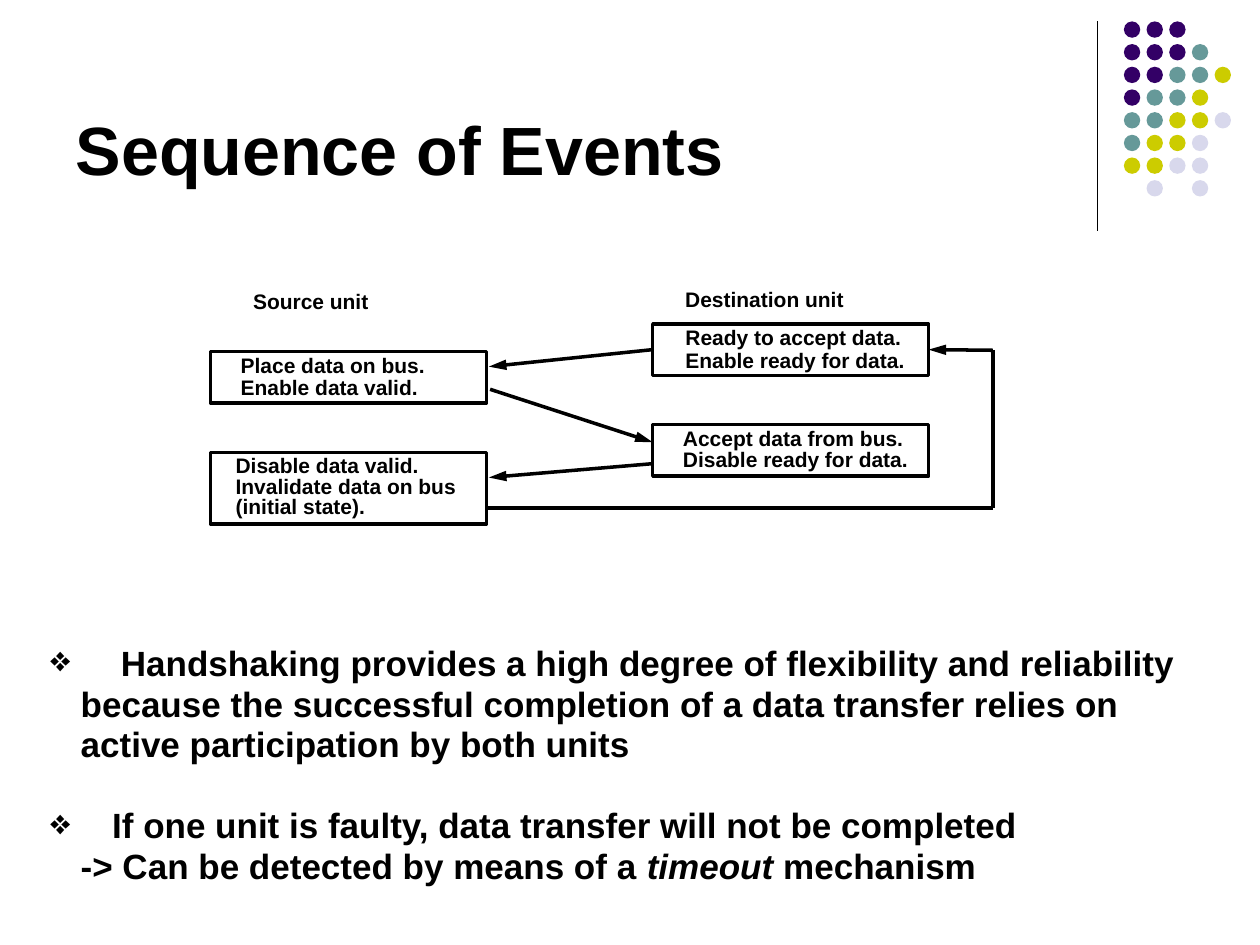
"""Build the handshaking "Sequence of Events" slide."""
from lxml import etree
from pptx import Presentation, util as u
from pptx.dml.color import RGBColor
from pptx.enum import shapes, text
from pptx.oxml import ns

TITLE = "Sequence of Events"
BLACK = "000000"
DOT_COLORS = {"P": "330066", "T": "669999", "Y": "CCCC00", "L": "D8D8EC"}
DOT_ROWS = ["PPP", "PPPT", "PPTTY", "PTTY", "TTYYL", "TYYL", "YYLL", " L L"]
DOT_LEFT, DOT_TOP, DOT_PITCH, DOT_SIZE = 8.92, 0.17, 0.18, 0.13

LABELS = [("Source unit", 1.91, 2.26, 1.12), ("Destination unit", 5.34, 2.25, 1.46)]
SOURCE_X, DEST_X, BOX_W = 1.67, 5.18, 2.19
BOXES = {
    "place": (SOURCE_X, 2.79, 0.41, 0.24, 13, ["Place data on bus.", "Enable data valid."]),
    "ready": (DEST_X, 2.57, 0.41, 0.26, 13, ["Ready to accept data.", "Enable ready for data."]),
    "accept": (DEST_X, 3.37, 0.41, 0.24, 12, ["Accept data from bus.", "Disable ready for data."]),
    "disable": (SOURCE_X, 3.59, 0.57, 0.2, 11.5,
                ["Disable data valid.", "Invalidate data on bus", "(initial state)."]),
}
LOOP_X, LOOP_Y, READY_Y = 7.88, 4.03, 2.78
LINES = [
    ((DEST_X, 2.78), (3.88, 2.91), True, ("ready", 1), None),
    ((3.89, 3.09), (DEST_X, 3.51), True, None, None),
    ((DEST_X, 3.68), (3.88, 3.79), True, None, None),
    ((SOURCE_X + BOX_W, LOOP_Y), (LOOP_X, LOOP_Y), False, None, None),
    ((LOOP_X, LOOP_Y), (LOOP_X, READY_Y), False, None, None),
    ((LOOP_X, READY_Y), (DEST_X + BOX_W, READY_Y), True, None, ("ready", 3)),
]
HANG = 0.24
NOTES = [
    (0.56, 0, [("\tHandshaking provides a high degree of flexibility and reliability because "
                "the successful completion of a data transfer relies on active participation "
                "by both units", False)]),
    (0.49, 23, [("\tIf one unit is faulty, data transfer will not be completed", False)]),
    (None, 0, [("-> Can be detected by means of a ", False), ("timeout", True),
               (" mechanism", False)]),
]


def rgb(value):
    return RGBColor.from_string(value)


def assign(obj, **values):
    for name, value in values.items():
        setattr(obj, name, value)


def style(font, size):
    assign(font, name="Arial", size=u.Pt(size), bold=True)
    font.color.rgb = rgb(BLACK)


def child(parent, tag, **attrs):
    return etree.SubElement(parent, ns.qn(tag), attrs)


def add_line(s, start, end, width, arrow=False):
    sp = s.shapes.add_connector(shapes.MSO_CONNECTOR.STRAIGHT, *map(u.Inches, start + end))
    sp.line.color.rgb = rgb(BLACK)
    sp.line.width = u.Pt(width)
    if arrow:
        child(sp.line._get_or_add_ln(), "a:tailEnd", type="triangle", w="med", len="lg")
    child(sp._element.spPr, "a:effectLst")
    return sp


def add_shape(s, kind, x, y, w, h):
    sp = s.shapes.add_shape(kind, *map(u.Inches, (x, y, w, h)))
    sp.shadow.inherit = False
    return sp


def add_dots(s):
    for row, codes in enumerate(DOT_ROWS):
        for col, code in enumerate(codes):
            if code in DOT_COLORS:
                sp = add_shape(s, shapes.MSO_SHAPE.OVAL, DOT_LEFT + col * DOT_PITCH,
                               DOT_TOP + row * DOT_PITCH, DOT_SIZE, DOT_SIZE)
                sp.fill.solid()
                sp.fill.fore_color.rgb = rgb(DOT_COLORS[code])
                sp.line.fill.background()


def add_box(s, x, y, h, inset, pitch, lines):
    sp = add_shape(s, shapes.MSO_SHAPE.RECTANGLE, x, y, BOX_W, h)
    sp.fill.background()
    sp.line.color.rgb = rgb(BLACK)
    sp.line.width = u.Pt(2)
    tf = sp.text_frame
    assign(tf, margin_left=u.Inches(inset), margin_right=0, margin_top=0, margin_bottom=0,
           word_wrap=True, vertical_anchor=text.MSO_ANCHOR.MIDDLE)
    for i, line in enumerate(lines):
        p = tf.paragraphs[0] if i == 0 else tf.add_paragraph()
        assign(p, text=line, alignment=text.PP_ALIGN.LEFT, line_spacing=u.Pt(pitch))
        style(p.font, 12)
    return sp


def add_notes(s):
    tf = s.shapes.add_textbox(*map(u.Inches, (0.33, 5.08, 9.12, 2))).text_frame
    assign(tf, word_wrap=True, margin_left=u.Inches(0.07), margin_right=u.Inches(0.07),
           margin_top=u.Inches(0.03), margin_bottom=u.Inches(0.03))
    for i, (tab, before, runs) in enumerate(NOTES):
        p = tf.paragraphs[0] if i == 0 else tf.add_paragraph()
        pPr = p._p.get_or_add_pPr()
        pPr.set("marL", str(u.Inches(HANG)))
        pPr.set("indent", str(-u.Inches(HANG) if tab else 0))
        if tab:
            child(child(pPr, "a:buClr"), "a:srgbClr", val=BLACK)
            child(pPr, "a:buChar", char="❖")
            child(child(pPr, "a:tabLst"), "a:tab", pos=str(u.Inches(tab)), algn="l")
        assign(p, line_spacing=0.97, space_before=u.Pt(before))
        for words, italic in runs:
            r = p.add_run()
            r.text = words
            style(r.font, 20)
            r.font.italic = italic


def main():
    prs = Presentation()
    assign(prs, slide_width=u.Inches(10), slide_height=u.Inches(7.5))
    s = prs.slides.add_slide(prs.slide_layouts[5])
    add_line(s, (8.71, 0.17), (8.71, 1.83), 0.75)
    add_dots(s)

    title = s.shapes.title
    assign(title, left=u.Inches(0.5), top=u.Inches(0.13), width=u.Inches(8.25),
           height=u.Inches(1.42))
    title.text_frame.vertical_anchor = text.MSO_ANCHOR.BOTTOM
    p = title.text_frame.paragraphs[0]
    assign(p, text=TITLE, alignment=text.PP_ALIGN.LEFT)
    style(p.runs[0].font, 39)

    add_notes(s)
    for label, x, y, w in LABELS:
        tf = s.shapes.add_textbox(*map(u.Inches, (x, y, w, 0.28))).text_frame
        tf.word_wrap = False
        p = tf.paragraphs[0]
        assign(p, text=label, line_spacing=0.9)
        style(p.font, 12)

    boxes = {name: add_box(s, *box) for name, box in BOXES.items()}
    for start, end, arrow, begin_at, end_at in LINES:
        sp = add_line(s, start, end, 2, arrow)
        if begin_at:
            sp.begin_connect(boxes[begin_at[0]], begin_at[1])
        if end_at:
            sp.end_connect(boxes[end_at[0]], end_at[1])
    prs.save("out.pptx")


if __name__ == "__main__":
    main()
